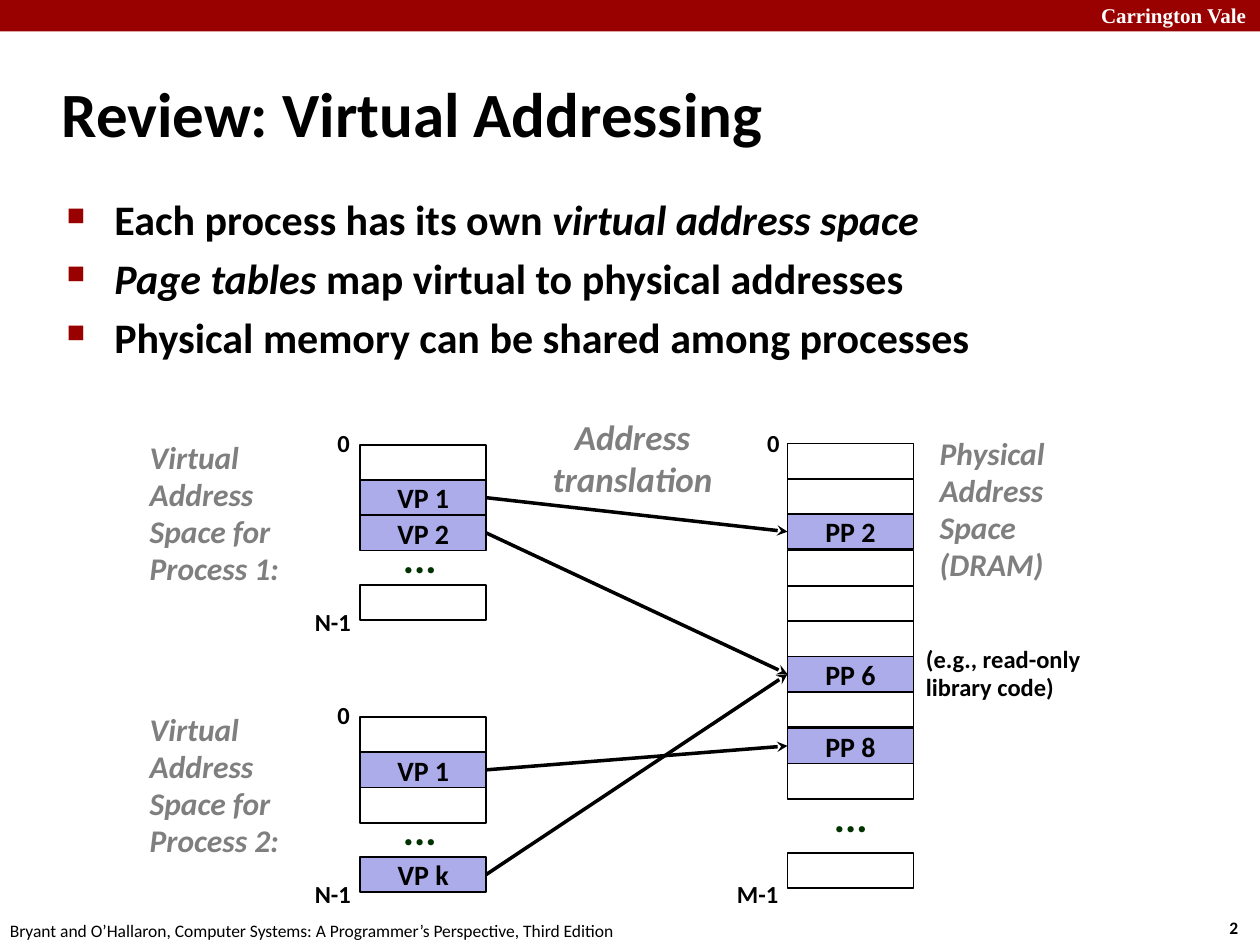
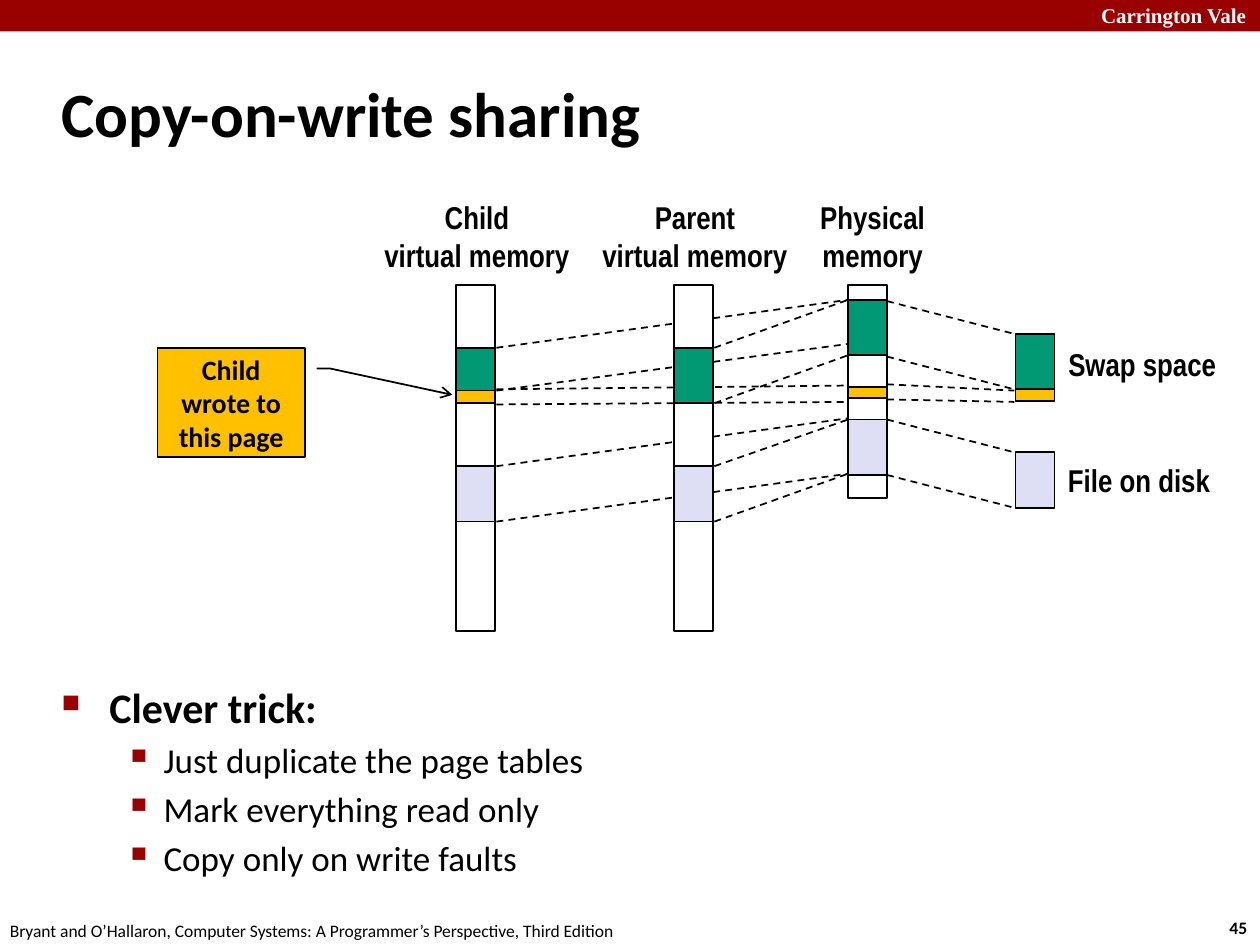
from lxml import etree
from pptx import Presentation
from pptx.dml.color import RGBColor
from pptx.enum.dml import MSO_LINE
from pptx.enum.shapes import MSO_CONNECTOR, MSO_SHAPE
from pptx.enum.text import MSO_ANCHOR, PP_ALIGN
from pptx.oxml.ns import qn
from pptx.util import Emu, Pt

RECT, CALLOUT = MSO_SHAPE.RECTANGLE, MSO_SHAPE.LINE_CALLOUT_2
STRAIGHT, DASH = MSO_CONNECTOR.STRAIGHT, MSO_LINE.DASH
LEFT, CENTER = PP_ALIGN.LEFT, PP_ALIGN.CENTER
TOP, MIDDLE = MSO_ANCHOR.TOP, MSO_ANCHOR.MIDDLE
LEFT_SIDE, RIGHT_SIDE = 1, 3

PX = 9144  # 100 px to the inch
BLACK, WHITE, GREY, RED = "000000", "FFFFFF", "7F7F7F", "990000"
DOTS, MAPPED = "003300", "ACACEA"
GREEN, YELLOW, LILAC = "009973", "FFC000", "DEDFF5"
BODY, NARROW, SERIF = "Calibri", "Arial Narrow", "Times New Roman"

# Bullet style by level: left indent, hanging indent, sign, sign size %, text size, bold
LEVELS = [(38, 38, "■", 60, 24, True), (81, 31, "▪", 110, 20, False)]


def px(length):
    return Emu(length * PX)


def color(hex_string):
    return RGBColor.from_string(hex_string)


def add_xml(parent, tag, **attributes):
    child = etree.SubElement(parent, qn(tag))
    for key, value in attributes.items():
        child.set(key, str(value))
    return child


def style_run(run, size, hue=BLACK, bold=True, italic=False, font=BODY):
    run.font.size, run.font.name = Pt(size), font
    run.font.bold, run.font.italic = bold, italic
    run.font.color.rgb = color(hue)


def write(shape, text, size, align=LEFT, anchor=TOP, wrap=True, spacing=None, **style):
    frame = shape.text_frame
    frame.text = text
    frame.word_wrap, frame.vertical_anchor = wrap, anchor
    for paragraph in frame.paragraphs:
        paragraph.alignment = align
        if spacing:
            paragraph.line_spacing = spacing
        for run in paragraph.runs:
            style_run(run, size, **style)


def label(slide, left, top, width, height, text, size, **style):
    box = slide.shapes.add_textbox(px(left), px(top), px(width), px(height))
    write(box, text, size, **style)
    return box


def block(slide, left, top, width, height, fill=None, outline=BLACK, kind=RECT):
    shape = slide.shapes.add_shape(kind, px(left), px(top), px(width), px(height))
    shape.shadow.inherit = False
    if fill:
        shape.fill.solid()
        shape.fill.fore_color.rgb = color(fill)
    else:
        shape.fill.background()
    if outline:
        shape.line.color.rgb = color(outline)
        shape.line.width = Pt(1)
    else:
        shape.line.fill.background()
    return shape


def add_arrowhead(shape, kind):
    add_xml(shape.line._get_or_add_ln(), "a:tailEnd", type=kind)


def connect(slide, x1, y1, x2, y2, width=1):
    line = slide.shapes.add_connector(STRAIGHT, px(x1), px(y1), px(x2), px(y2))
    line.line.color.rgb = color(BLACK)
    line.line.width = Pt(width)
    add_xml(line._element.spPr, "a:effectLst")
    return line


def bullets(slide, left, top, width, height, items):
    """Each item is (level, text); text between asterisks is italic."""
    frame = slide.shapes.add_textbox(px(left), px(top), px(width), px(height)).text_frame
    frame.word_wrap = True
    for index, (level, text) in enumerate(items):
        indent, hanging, sign, sign_size, size, bold = LEVELS[level]
        paragraph = frame.add_paragraph() if index else frame.paragraphs[0]
        paragraph.level = level
        for part, words in enumerate(text.split("*")):
            if words:
                run = paragraph.add_run()
                run.text = words
                style_run(run, size, bold=bold, italic=part % 2 == 1)
        properties = paragraph._p.get_or_add_pPr()
        properties.set("marL", str(px(indent)))
        properties.set("indent", str(-px(hanging)))
        add_xml(add_xml(properties, "a:spcBef"), "a:spcPct", val=20000)
        add_xml(add_xml(properties, "a:buClr"), "a:srgbClr", val=RED)
        add_xml(properties, "a:buSzPct", val=sign_size * 1000)
        add_xml(properties, "a:buChar", char=sign)


def new_slide(deck, title, number):
    slide = deck.slides.add_slide(deck.slide_layouts[6])
    # Top band
    block(slide, 0, 0, 1000, 25, RED, outline=None)
    label(slide, 864, -3, 143, 30, "Carrington Vale", 12, hue=WHITE, font=SERIF)
    # Footer
    label(slide, 966, 723, 37, 27, str(number), 10)
    label(slide, -2, 725, 508, 27, "Bryant and O’Hallaron, Computer Systems: "
          "A Programmer’s Perspective, Third Edition", 10, bold=False)
    # Title
    label(slide, 39, 48, 830, 83, title, 36, anchor=MIDDLE)
    return slide


# ---- Virtual addressing ----

def page_stack(slide, left, top, span, slots):
    """Share span among the slots; None leaves a gap. Return the named pages."""
    pages = {}
    for index, name in enumerate(slots):
        if name is None:
            continue
        page = block(slide, left, top + round(index * span / len(slots)), 100, 28,
                     MAPPED if name else None)
        if name:
            write(page, name, 16, align=CENTER, anchor=MIDDLE)
            pages[name] = page
    return pages


def gap_dots(slide, left, top):
    label(slide, left, top, 47, 45, "...", 24, hue=DOTS, spacing=0.88)


def space_caption(slide, left, top, width, text):
    label(slide, left, top, width, 128, text, 18, hue=GREY, italic=True, spacing=0.98)


def process_space(slide, left, top, number, slots):
    space_caption(slide, left - 177, top - 9, 150,
                  f"Virtual Address Space for Process {number}:")
    label(slide, left - 28, top - 17, 31, 33, "0", 14, spacing=0.98)
    label(slide, left - 46, top + 125, 49, 33, "N-1", 14, spacing=0.98)
    gap_dots(slide, left + 24, top + 69)
    return page_stack(slide, left, top, 139, slots)


def physical_space(slide, left, top):
    space_caption(slide, left + 111, top - 11, 117, "Physical\nAddress\nSpace (DRAM)")
    label(slide, left - 26, top - 16, 31, 33, "0", 14, spacing=0.98)
    label(slide, left - 50, top + 342, 53, 33, "M-1", 14, spacing=0.98)
    label(slide, left + 100, top + 155, 159, 56, "(e.g., read-only\nlibrary code)",
          14, spacing=0.98)
    gap_dots(slide, left + 27, top + 276)
    block(slide, left, top + 325, 100, 28)
    return page_stack(slide, left, top, 282,
                      ["", "", "PP 2", "", "", "", "PP 6", "", "PP 8", ""])


def addressing_slide(deck):
    slide = new_slide(deck, "Review: Virtual Addressing", 2)
    bullets(slide, 43, 149, 864, 180, [
        (0, "Each process has its own *virtual address space*"),
        (0, "*Page tables* map virtual to physical addresses"),
        (0, "Physical memory can be shared among processes")])
    first = process_space(slide, 286, 353, 1, ["", "VP 1", "VP 2", None, ""])
    second = process_space(slide, 286, 569, 2, ["", "VP 1", "", None, "VP k"])
    physical = physical_space(slide, 625, 352)
    # Address translation
    for virtual_page, frame_name in [(first["VP 1"], "PP 2"), (first["VP 2"], "PP 6"),
                                     (second["VP k"], "PP 6"), (second["VP 1"], "PP 8")]:
        arrow = connect(slide, 0, 0, 0, 0, width=2)
        arrow.begin_connect(virtual_page, RIGHT_SIDE)
        arrow.end_connect(physical[frame_name], LEFT_SIDE)
        add_arrowhead(arrow, "stealth")
    label(slide, 428, 325, 148, 77, "Address\ntranslation", 20, align=CENTER,
          hue=GREY, italic=True)


# ---- Copy-on-write ----

def memory_pages(slide, left, pages):
    for top, height, fill in pages:
        block(slide, left, top, 31, height, fill)


def memory_column(slide, left, top, height, heading, shift, pages):
    """Draw a column; pages are (offset from the top, height, fill)."""
    label(slide, left - 69 + shift, top - 74, 169, 71, heading, 18, align=CENTER,
          anchor=MIDDLE, wrap=False, font=NARROW)
    block(slide, left, top, 31, height, WHITE)
    memory_pages(slide, left, [(top + offset, size, fill) for offset, size, fill in pages])


def mapping(slide, x1, x2, ends):
    for y1, y2 in ends:
        connect(slide, x1, y1, x2, y2).line.dash_style = DASH


def storage(slide, left, top):
    memory_pages(slide, left, [(top, 44, GREEN), (top + 44, 9, YELLOW), (top + 94, 44, LILAC)])
    for offset, width, name in [(4, 139, "Swap space"), (96, 134, "File on disk")]:
        label(slide, left + 31, top + offset, width, 40, name, 18, align=CENTER,
              anchor=MIDDLE, wrap=False, font=NARROW)


def write_callout(slide, left, top):
    callout = block(slide, left, top, 117, 87, YELLOW, kind=CALLOUT)
    # Leader points as y, x fractions of the box
    for index, value in enumerate([0.19, 1.08, 0.19, 1.17, 0.43, 2]):
        callout.adjustments[index] = value
    add_arrowhead(callout, "arrow")
    write(callout, "Child wrote to this page", 16, align=CENTER, anchor=MIDDLE)


def copy_on_write_slide(deck):
    slide = new_slide(deck, "Copy-on-write sharing", 45)
    # Child to physical memory, passing behind the parent
    mapping(slide, 394, 673, [(276, 238), (310, 273), (309, 306),
                              (321, 319), (370, 332), (414, 376)])
    memory_column(slide, 362, 226, 275, "Child\nvirtual memory", 1,
                  [(50, 34, GREEN), (84, 10, YELLOW), (144, 44, LILAC)])
    memory_column(slide, 535, 226, 275, "Parent\nvirtual memory", 1,
                  [(50, 44, GREEN), (144, 44, LILAC)])
    memory_column(slide, 673, 226, 169, "Physical\nmemory", 4,
                  [(12, 44, GREEN), (81, 9, YELLOW), (107, 44, LILAC)])
    storage(slide, 806, 265)
    # Parent to physical memory, then physical memory to storage
    mapping(slide, 567, 673, [(276, 238), (320, 282), (370, 333), (414, 376)])
    mapping(slide, 704, 805, [(239, 265), (283, 309), (305, 310),
                              (317, 319), (333, 359), (377, 403)])
    write_callout(slide, 125, 276)
    bullets(slide, 39, 536, 440, 171, [
        (0, "Clever trick:"),
        (1, "Just duplicate the page tables"),
        (1, "Mark everything read only"),
        (1, "Copy only on write faults")])


def main():
    deck = Presentation()
    deck.slide_width, deck.slide_height = px(1000), px(750)
    addressing_slide(deck)
    copy_on_write_slide(deck)
    deck.save("out.pptx")


if __name__ == "__main__":
    main()
